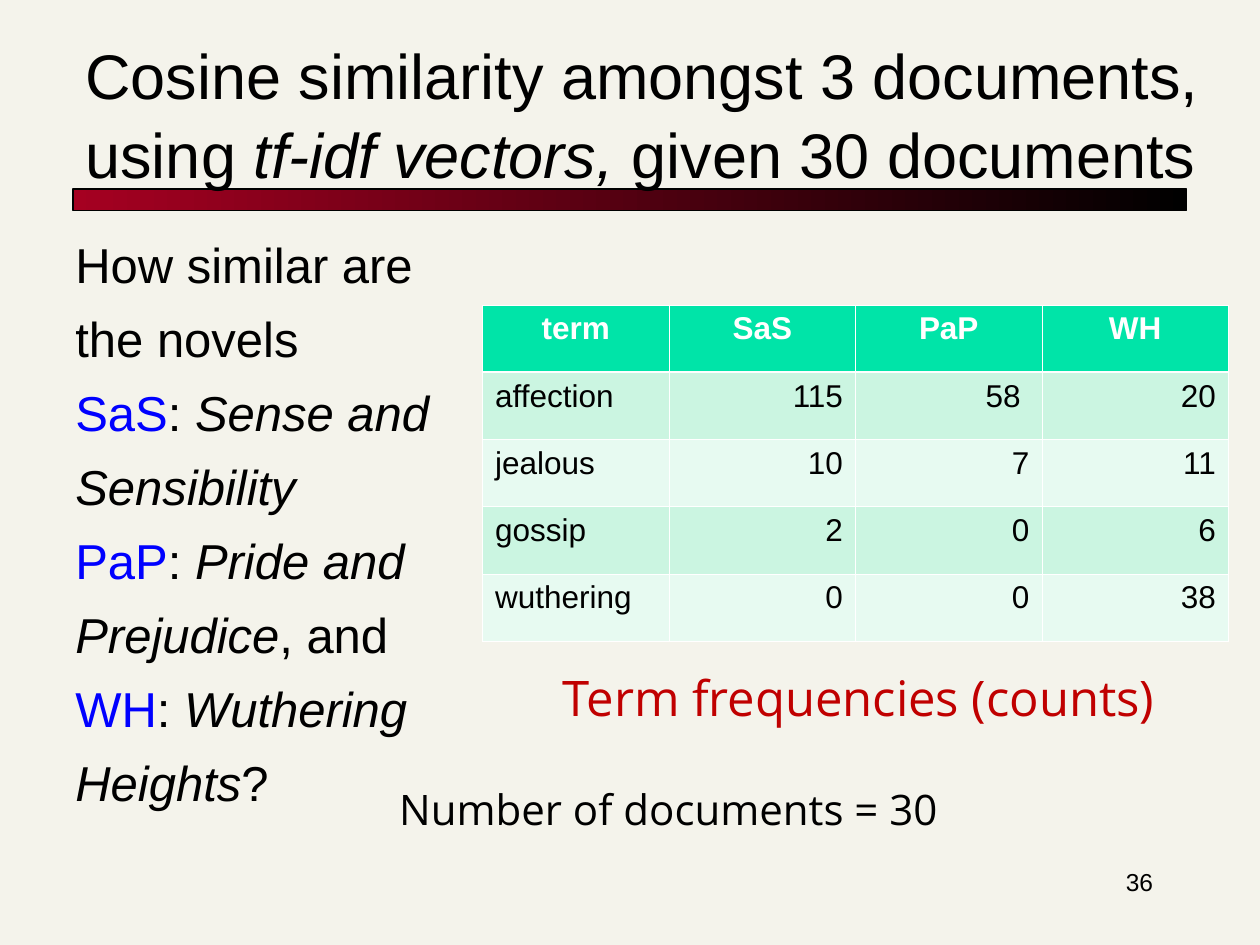
import pptx
import pptx.util
import pptx.dml.color
import pptx.enum.shapes
import pptx.enum.text
import pptx.oxml
import pptx.oxml.ns

Inches = pptx.util.Inches
Pt = pptx.util.Pt
ALIGN = pptx.enum.text.PP_ALIGN
BLACK, WHITE, BLUE, RED = "000000", "FFFFFF", "0000FF", "C00000"


def color(hex_string):
    return pptx.dml.color.RGBColor.from_string(hex_string)


def add_run(paragraph, text, size, ink=BLACK, font="Arial", italic=False, bold=False):
    run = paragraph.add_run()
    run.text = text
    run.font.name = font
    run.font.size = Pt(size)
    run.font.italic = italic
    run.font.bold = bold
    run.font.color.rgb = color(ink)


deck = pptx.Presentation()
deck.slide_width, deck.slide_height = Inches(10), Inches(7.5)
slide = deck.slides.add_slide(deck.slide_layouts[6])
slide.background.fill.solid()
slide.background.fill.fore_color.rgb = color("F4F3EB")

# Gradient rule under the title
rule = slide.shapes.add_shape(pptx.enum.shapes.MSO_SHAPE.RECTANGLE,
                              Inches(0.58), Inches(1.5), Inches(8.84), Inches(0.17))
rule.shadow.inherit = False
rule.fill.gradient()
rule.fill.gradient_angle = 0
for stop, (position, shade) in zip(rule.fill.gradient_stops, [(0, "A50021"), (1, BLACK)]):
    stop.position = position
    stop.color.rgb = color(shade)
rule.line.color.rgb = color(BLACK)
rule.line.width = Pt(0.75)

# Title
title = slide.shapes.add_textbox(Inches(0.58), Inches(0.3), Inches(9.42), Inches(1.27)).text_frame
title.word_wrap = True
title.vertical_anchor = pptx.enum.text.MSO_ANCHOR.BOTTOM
heading = title.paragraphs[0]
heading.line_spacing = 1.05
add_run(heading, "Cosine similarity amongst 3 documents, using ", 36)
add_run(heading, "tf-idf vectors, ", 36, italic=True)
add_run(heading, "given 30 documents", 36)

# Question about the novels: (text, colour, italic) runs, line by line
question_lines = [
    [("How similar are", BLACK, False)],
    [("the novels", BLACK, False)],
    [("SaS", BLUE, False), (": ", BLACK, False), ("Sense and", BLACK, True)],
    [("Sensibility", BLACK, True)],
    [("PaP", BLUE, False), (": ", BLACK, False), ("Pride and", BLACK, True)],
    [("Prejudice", BLACK, True), (", and", BLACK, False)],
    [("WH", BLUE, False), (": ", BLACK, False), ("Wuthering", BLACK, True)],
    [("Heights", BLACK, True), ("?", BLACK, False)],
]
question = slide.shapes.add_textbox(Inches(0.5), Inches(1.79), Inches(3.29), Inches(5.13)).text_frame
question.word_wrap = True
for index, line in enumerate(question_lines):
    paragraph = question.add_paragraph() if index else question.paragraphs[0]
    paragraph.line_spacing = 1.05
    if index:
        paragraph.space_before = Pt(7)
    for text, ink, italic in line:
        add_run(paragraph, text, 28, ink, italic=italic)

# Term frequency table
counts = [
    ["term", "SaS", "PaP", "WH"],
    ["affection", "115", "58 ", "20"],
    ["jealous", "10", "7", "11"],
    ["gossip", "2", "0", "6"],
    ["wuthering", "0", "0", "38"],
]
row_fills = ["00E4A8", "CBF5E1", "E7FAF1", "CBF5E1", "E7FAF1"]
frequencies = slide.shapes.add_table(len(counts), len(counts[0]), Inches(3.83), Inches(2.42),
                                     Inches(5.92), Inches(2.67)).table
for r, row in enumerate(counts):
    for c, value in enumerate(row):
        cell = frequencies.cell(r, c)
        cell.fill.solid()
        cell.fill.fore_color.rgb = color(row_fills[r])
        paragraph = cell.text_frame.paragraphs[0]
        if r == 0:
            paragraph.alignment = ALIGN.CENTER
        else:
            paragraph.alignment = ALIGN.RIGHT if c else ALIGN.LEFT
        add_run(paragraph, value, 18, BLACK if r else WHITE, bold=r == 0)
        # White borders, heavier between header and body
        heavy_side = {0: "B", 1: "T"}.get(r)
        for place, side in enumerate("LRTB"):
            width = Pt(1.47 if side == heavy_side else 0.45)
            border = pptx.oxml.parse_xml(
                f'<a:ln{side} {pptx.oxml.ns.nsdecls("a")} w="{width}">'
                f'<a:solidFill><a:srgbClr val="{WHITE}"/></a:solidFill></a:ln{side}>')
            cell._tc.get_or_add_tcPr().insert(place, border)

# Table caption and collection size
for left, top, width, height, text, size, ink in [
    (4.37, 5.25, 4.96, 0.57, "Term frequencies (counts)", 28, RED),
    (3.07, 6.17, 4.49, 0.5, "Number of documents = 30", 24, BLACK),
]:
    note = slide.shapes.add_textbox(Inches(left), Inches(top), Inches(width), Inches(height)).text_frame
    note.word_wrap = False
    note.auto_size = pptx.enum.text.MSO_AUTO_SIZE.SHAPE_TO_FIT_TEXT
    add_run(note.paragraphs[0], text, size, ink, font="Open Sans")

# Page number
page_number = slide.shapes.add_textbox(Inches(7.17), Inches(6.83), Inches(2.08), Inches(0.5)).text_frame
page_number.word_wrap = True
page_number.paragraphs[0].alignment = ALIGN.RIGHT
add_run(page_number.paragraphs[0], "36", 14)

deck.save("out.pptx")
